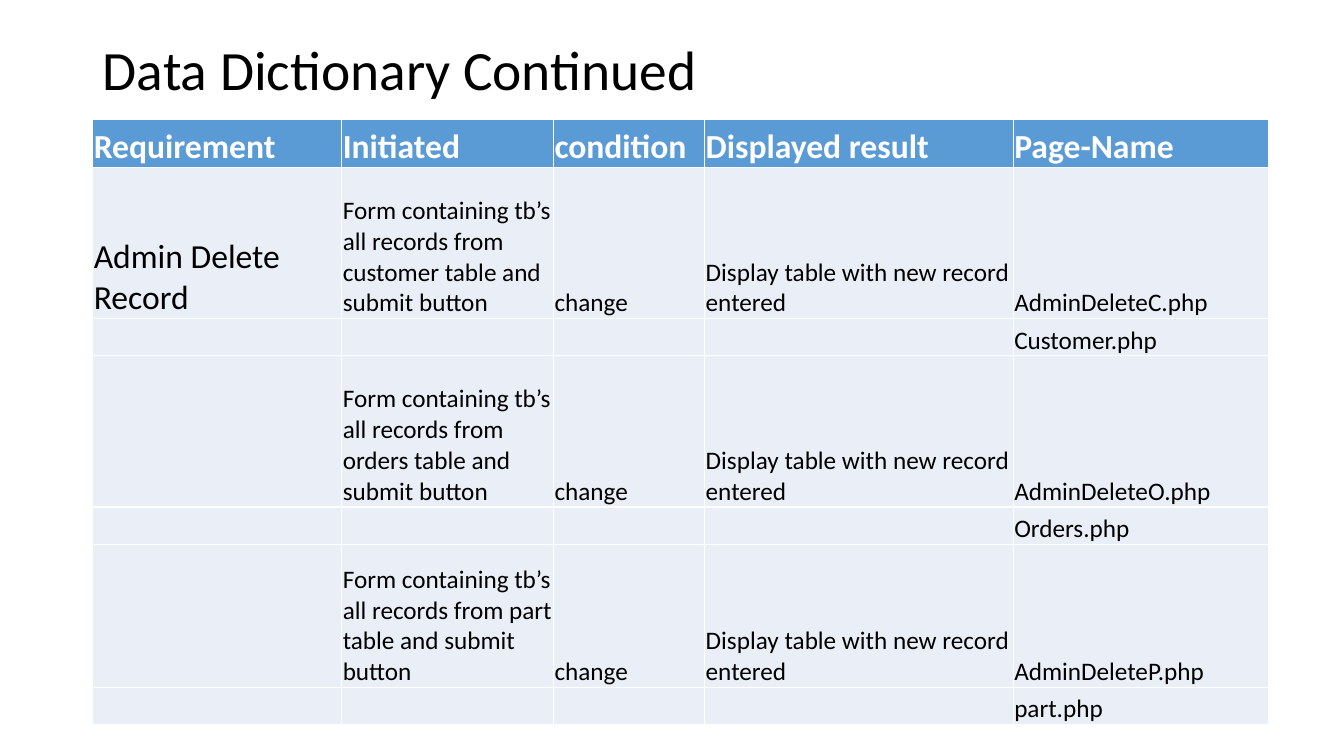
from lxml.etree import SubElement
from pptx import Presentation
from pptx.dml.color import RGBColor
from pptx.enum.text import MSO_ANCHOR, MSO_AUTO_SIZE, PP_ALIGN
from pptx.oxml.ns import qn
from pptx.util import Inches, Pt

BLACK = RGBColor(0x00, 0x00, 0x00)
WHITE = RGBColor(0xFF, 0xFF, 0xFF)
BLUE = RGBColor(0x5B, 0x9B, 0xD5)
PALE = RGBColor(0xEA, 0xEF, 0xF7)
FONT = "Calibri"

TITLE = "Data Dictionary Continued"
HEADER = ("Requirement", "Initiated", "condition", "Displayed result", "Page-Name")
RECORDS = [
    ("Admin Delete Record", "customer", "AdminDeleteC.php", "Customer.php"),
    ("", "orders", "AdminDeleteO.php", "Orders.php"),
    ("", "part", "AdminDeleteP.php", "part.php"),
]
COL_WIDTHS = (2.47, 2.1, 1.5, 3.06, 2.53)
ROW_HEIGHTS = (0.48, 1.5, 0.37, 1.5, 0.37, 1.42, 0.37)


def table_rows():
    rows = [HEADER]
    for requirement, source, form_page, list_page in RECORDS:
        form = f"Form containing tb’s all records from {source} table and submit button"
        rows.append((requirement, form, "change", "Display table with new record entered", form_page))
        rows.append(("", "", "", "", list_page))
    return rows


def add_run(p, text, size, color, bold=False):
    r = p.add_run()
    r.text = text
    r.font.name = FONT
    r.font.size = Pt(size)
    r.font.bold = bold
    r.font.color.rgb = color


def set_borders(cell):
    tc_pr = cell._tc.get_or_add_tcPr()
    for side in ("a:lnL", "a:lnR", "a:lnT", "a:lnB"):
        ln = SubElement(tc_pr, qn(side), w=str(Pt(1)))
        fill = SubElement(ln, qn("a:solidFill"))
        SubElement(fill, qn("a:srgbClr"), val=str(WHITE))


def format_cell(cell, text, row, col):
    is_header = row == 0
    set_borders(cell)
    cell.fill.solid()
    cell.fill.fore_color.rgb = BLUE if is_header else PALE
    cell.margin_left = cell.margin_right = cell.margin_top = Inches(0.01)
    cell.margin_bottom = 0
    cell.vertical_anchor = MSO_ANCHOR.BOTTOM
    if text:
        size = 24 if is_header or col == 0 else 18
        add_run(cell.text_frame.paragraphs[0], text, size, WHITE if is_header else BLACK, is_header)


def add_title(s):
    sp = s.shapes.title
    sp.left, sp.top, sp.width, sp.height = map(Inches, (0.92, 0.4, 11.5, 0.63))
    tf = sp.text_frame
    tf.word_wrap = True
    tf.auto_size = MSO_AUTO_SIZE.NONE
    tf.vertical_anchor = MSO_ANCHOR.MIDDLE
    p = tf.paragraphs[0]
    p.alignment = PP_ALIGN.LEFT
    p.line_spacing = 0.9
    add_run(p, TITLE, 39.6, BLACK)


def add_dictionary(s):
    rows = table_rows()
    table = s.shapes.add_table(
        len(rows), len(HEADER), Inches(0.92), Inches(1.18),
        Inches(sum(COL_WIDTHS)), Inches(sum(ROW_HEIGHTS)),
    ).table
    for column, width in zip(table.columns, COL_WIDTHS):
        column.width = Inches(width)
    for row, height in zip(table.rows, ROW_HEIGHTS):
        row.height = Inches(height)
    for i, texts in enumerate(rows):
        for j, text in enumerate(texts):
            format_cell(table.cell(i, j), text, i, j)


def main():
    prs = Presentation()
    prs.slide_width, prs.slide_height = Inches(13.33), Inches(7.5)
    s = prs.slides.add_slide(prs.slide_layouts[5])
    add_title(s)
    add_dictionary(s)
    prs.save("out.pptx")


if __name__ == "__main__":
    main()
